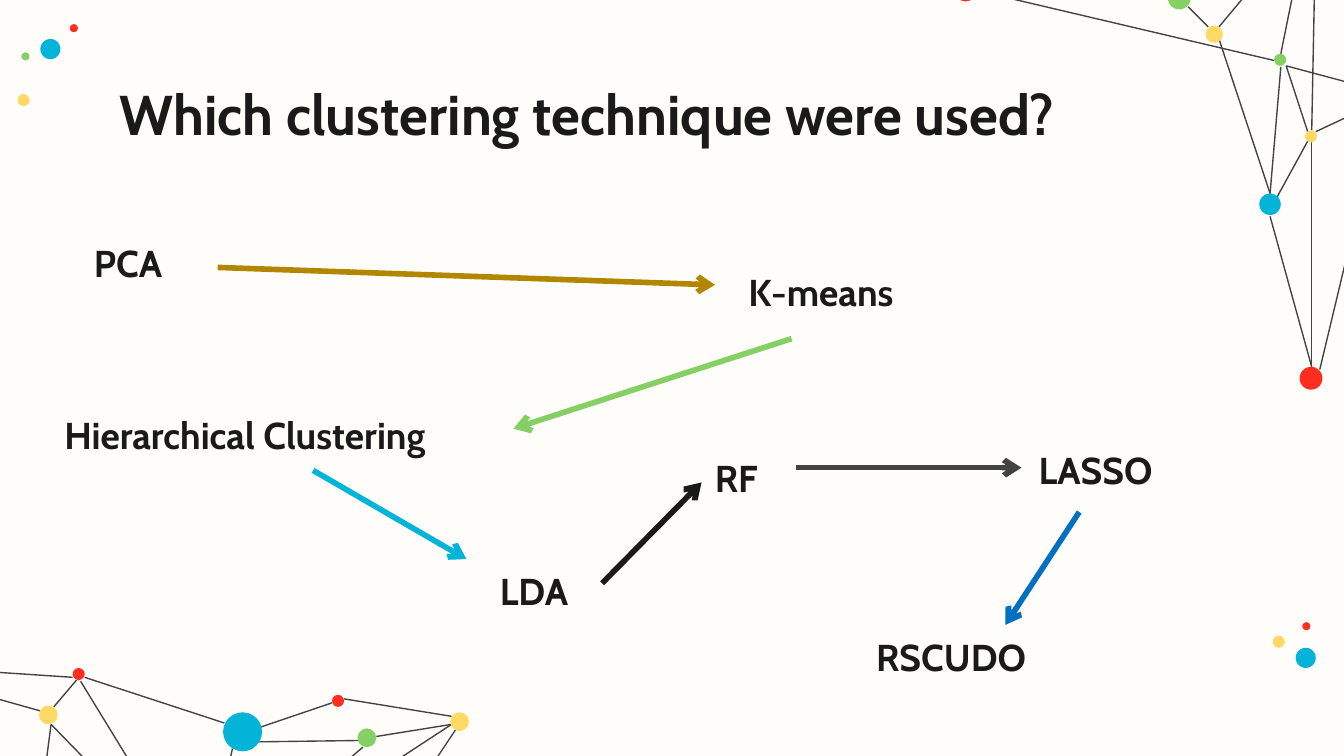
from typing import NamedTuple

from lxml import etree
from pptx import Presentation
from pptx import util as u
from pptx.dml.color import RGBColor
from pptx.enum import shapes, text
from pptx.oxml.ns import qn

SCALE = 9144  # EMU per px, 100 px to the inch
FONT = "Cabin"
INK, GREY = "1A1A1A", "434343"
RED, BLUE, GREEN, YELLOW = "FF2E20", "04B4D8", "86CF64", "FFD966"


class Dot(NamedTuple):
    left: int
    top: int
    size: int
    color: str


class Line(NamedTuple):
    x1: int
    y1: int
    x2: int
    y2: int
    color: str = GREY


class Label(NamedTuple):
    left: int
    top: int
    words: str
    width: int = 315


CORNER_DOTS = [
    Dot(947, 473, 9, YELLOW), Dot(964, 482, 15, BLUE), Dot(969, 463, 6, RED),
    Dot(13, 70, 9, YELLOW), Dot(30, 29, 15, BLUE), Dot(52, 18, 6, RED),
    Dot(16, 39, 6, GREEN),
]
NETWORK_DOTS = [
    # Top right
    Dot(710, -16, 17, RED), Dot(967, 273, 17, RED), Dot(971, 97, 9, YELLOW),
    Dot(937, 144, 16, BLUE), Dot(869, -10, 17, GREEN), Dot(897, 19, 13, YELLOW),
    Dot(948, 40, 9, GREEN),
    # Bottom left
    Dot(335, 530, 14, YELLOW), Dot(29, 525, 14, YELLOW), Dot(166, 530, 29, BLUE),
    Dot(247, 517, 9, RED), Dot(54, 497, 9, RED), Dot(266, 542, 14, GREEN),
]
NETWORK_LINES = [
    # Top right
    Line(948, 45, 727, -7), Line(945, 161, 976, 273), Line(976, 106, 976, 273),
    Line(973, 105, 950, 147), Line(976, 97, 979, -56), Line(973, 98, 957, 49),
    Line(973, -59, 953, 40), Line(907, 20, 973, -59), Line(945, 144, 953, 50),
    Line(945, 144, 907, 29), Line(899, 20, 884, 5), Line(1028, 68, 957, 49),
    Line(1030, 74, 979, 98), Line(1030, 74, 982, 275),
    # Bottom left
    Line(339, 543, 197, 756), Line(22, 662, 38, 539), Line(150, 654, 38, 539),
    Line(336, 533, 256, 520), Line(336, 539, 156, 657), Line(247, 523, 194, 541),
    Line(173, 557, 150, 654), Line(-66, 502, 30, 529), Line(-66, 496, 54, 504),
    Line(63, 504, 167, 538), Line(57, 506, 40, 526), Line(60, 507, 150, 654),
    Line(193, 552, 267, 551), Line(280, 548, 336, 539), Line(154, 654, 270, 556),
]
LABELS = [
    Label(45, 159, "PCA"), Label(532, 181, "K-means"),
    Label(23, 287, "Hierarchical Clustering", 359), Label(347, 403, "LDA"),
    Label(507, 319, "RF"), Label(748, 313, "LASSO"), Label(627, 452, "RSCUDO"),
]
ARROWS = [
    Line(162, 199, 532, 212, "B28600"), Line(589, 252, 382, 319, GREEN),
    Line(233, 350, 347, 416, BLUE), Line(448, 434, 522, 359, INK),
    Line(592, 348, 760, 348, GREY), Line(803, 381, 748, 465, "0070C0"),
]


def px(length: int) -> u.Emu:
    return u.Emu(length * SCALE)


def rgb(color: str) -> RGBColor:
    return RGBColor.from_string(color)


def draw_dot(slide, dot: Dot) -> None:
    shape = slide.shapes.add_shape(shapes.MSO_SHAPE.OVAL, px(dot.left), px(dot.top),
                                   px(dot.size), px(dot.size))
    shape.shadow.inherit = False
    shape.fill.solid()
    shape.fill.fore_color.rgb = rgb(dot.color)
    shape.line.fill.background()


def draw_line(slide, line: Line, points: float = 0.75, arrow: bool = False) -> None:
    connector = slide.shapes.add_connector(
        shapes.MSO_CONNECTOR.STRAIGHT, px(line.x1), px(line.y1), px(line.x2), px(line.y2))
    connector.line.color.rgb = rgb(line.color)
    connector.line.width = u.Pt(points)
    properties = connector._element.spPr
    if arrow:
        etree.SubElement(properties.find(qn("a:ln")), qn("a:tailEnd"), type="arrow")
    etree.SubElement(properties, qn("a:effectLst"))


def write_text(shape, words: str, points: int, anchor) -> None:
    """Fill a shape with one bold left-aligned run."""
    frame = shape.text_frame
    frame.word_wrap = True
    frame.auto_size = text.MSO_AUTO_SIZE.NONE
    frame.vertical_anchor = anchor
    frame.margin_left = frame.margin_right = px(10)
    frame.margin_top = frame.margin_bottom = px(10)
    paragraph = frame.paragraphs[0]
    paragraph.alignment = text.PP_ALIGN.LEFT
    paragraph.space_before = u.Pt(0)
    run = paragraph.add_run()
    run.text = words
    run.font.name = FONT
    run.font.size = u.Pt(points)
    run.font.bold = True
    run.font.color.rgb = rgb(INK)


def draw_label(slide, label: Label) -> None:
    box = slide.shapes.add_textbox(px(label.left), px(label.top), px(label.width), px(63))
    write_text(box, label.words, 20, text.MSO_ANCHOR.BOTTOM)
    paragraph = box.text_frame.paragraphs[0]
    paragraph.line_spacing = 1.15
    # Hanging indent without a bullet
    properties = paragraph._p.get_or_add_pPr()
    properties.set("marL", str(px(50)))
    properties.set("indent", str(px(-35)))


def place_title(slide, words: str) -> None:
    title = slide.shapes.title
    title.left, title.top, title.width, title.height = px(79), px(49), px(843), px(63)
    write_text(title, words, 30, text.MSO_ANCHOR.TOP)
    title.text_frame.paragraphs[0].line_spacing = 1.0
    # Bring the title in front of the decoration
    title._element.getparent().append(title._element)


def main() -> None:
    presentation = Presentation()
    presentation.slide_width = px(1000)
    presentation.slide_height = u.Emu(px(1000) * 9 // 16)
    slide = presentation.slides.add_slide(presentation.slide_layouts[5])
    slide.background.fill.solid()
    slide.background.fill.fore_color.rgb = rgb("FEFDFA")

    # Decoration
    for line in NETWORK_LINES:
        draw_line(slide, line)
    for dot in CORNER_DOTS + NETWORK_DOTS:
        draw_dot(slide, dot)

    # Title and chain of techniques
    place_title(slide, "Which clustering technique were used?")
    for label in LABELS:
        draw_label(slide, label)
    for arrow in ARROWS:
        draw_line(slide, arrow, 3, arrow=True)

    presentation.save("out.pptx")


if __name__ == "__main__":
    main()
